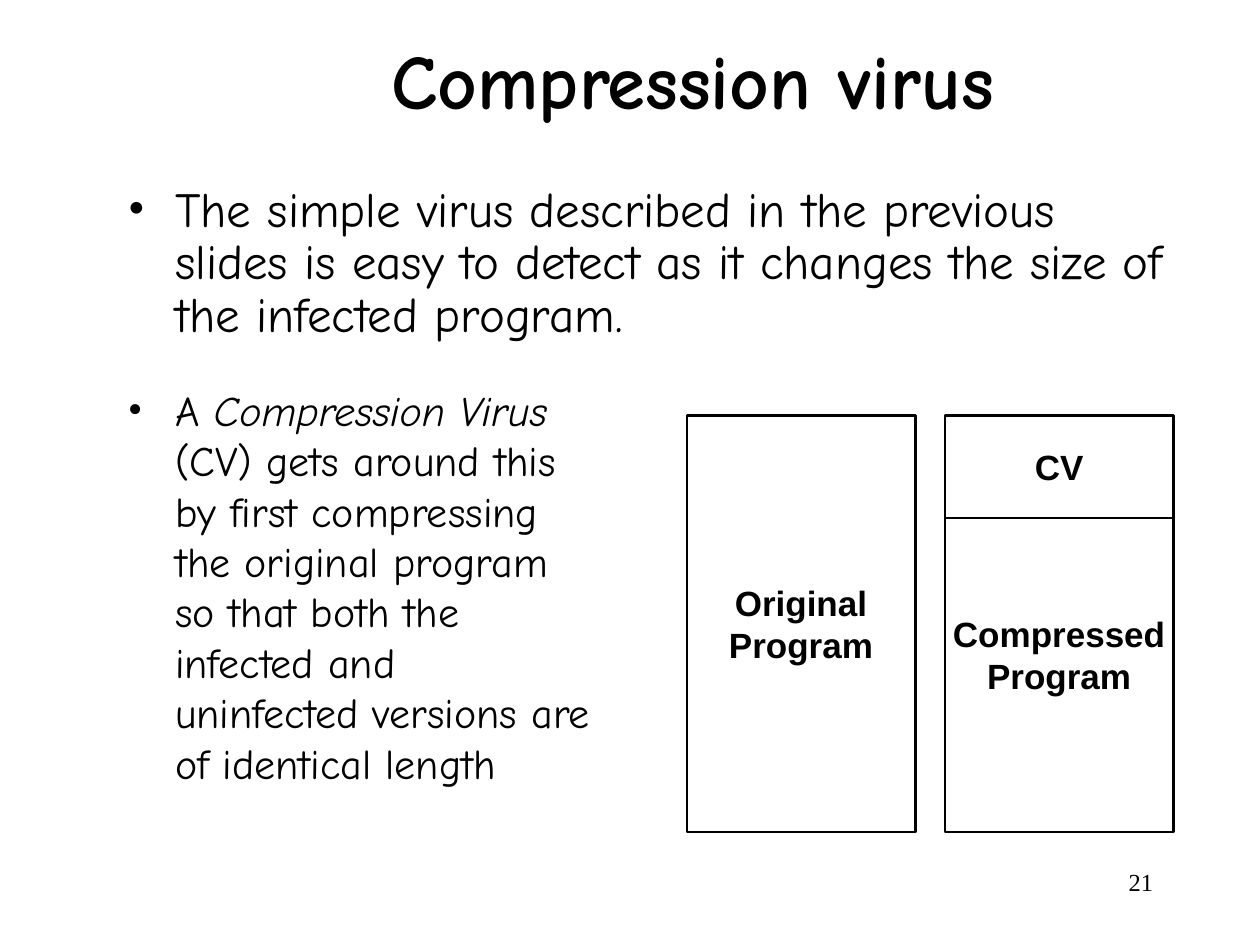
from lxml.etree import SubElement
from pptx import Presentation
from pptx.dml.color import RGBColor
from pptx.enum.shapes import MSO_SHAPE as Shape
from pptx.enum.text import MSO_ANCHOR as Anchor, PP_ALIGN as Align
from pptx.oxml.ns import qn
from pptx.util import Pt

BLACK = RGBColor(0, 0, 0)
HEADING_FONT, LABEL_FONT, NUMBER_FONT = "Comic Neue", "Arial", "Times New Roman"
INDENT = 27


def write_text(shape, *runs, size, font, bold=False, align=Align.LEFT,
               anchor=Anchor.TOP, side=7.2, bottom=3.6, spacing=None, bullet=False):
    """Fill a shape with one paragraph; each run is a string or (string, italic)."""
    frame = shape.text_frame
    frame.word_wrap = True
    frame.vertical_anchor = anchor
    frame.margin_left = frame.margin_right = Pt(side)
    frame.margin_top, frame.margin_bottom = Pt(3.6), Pt(bottom)
    paragraph = frame.paragraphs[0]
    paragraph.alignment = align
    if spacing:
        paragraph.line_spacing = spacing
    if bullet:
        add_bullet(paragraph)
    for item in runs:
        text, italic = item if isinstance(item, tuple) else (item, False)
        run = paragraph.add_run()
        run.text = text
        run.font.name, run.font.size = font, Pt(size)
        run.font.bold, run.font.italic = bold, italic
        run.font.color.rgb = BLACK


def add_bullet(paragraph):
    properties = paragraph._p.get_or_add_pPr()
    properties.set("marL", str(Pt(INDENT)))
    properties.set("indent", str(-Pt(INDENT)))
    color = SubElement(properties, qn("a:buClr"))
    SubElement(color, qn("a:srgbClr"), val=str(BLACK))
    SubElement(properties, qn("a:buFont"), typeface=NUMBER_FONT)
    SubElement(properties, qn("a:buChar"), char="•")


def add_text(slide, left, top, width, height, *runs, **text_format):
    box = slide.shapes.add_textbox(Pt(left), Pt(top), Pt(width), Pt(height))
    write_text(box, *runs, **text_format)


def add_block(slide, left, top, height, label, **text_format):
    block = slide.shapes.add_shape(Shape.RECTANGLE, Pt(left), Pt(top), Pt(130.5), Pt(height))
    block.shadow.inherit = False
    block.fill.background()
    block.line.color.rgb = BLACK
    block.line.width = Pt(1.5)
    write_text(block, label, size=20, font=LABEL_FONT, bold=True, align=Align.CENTER,
               anchor=Anchor.MIDDLE, side=3.6, **text_format)


def main():
    presentation = Presentation()
    presentation.slide_width, presentation.slide_height = Pt(720), Pt(540)
    slide = presentation.slides.add_slide(presentation.slide_layouts[6])

    # Title
    add_text(slide, 90, 0, 612, 90, "Compression virus", size=44, font=HEADING_FONT,
             bold=True, align=Align.CENTER, anchor=Anchor.MIDDLE)

    # Bulleted text
    add_text(slide, 66, 102, 612, 104,
             "The simple virus described in the previous slides is easy to detect "
             "as it changes the size of the infected program.",
             size=28, font=HEADING_FONT, spacing=0.9, bullet=True)
    add_text(slide, 66, 216, 280, 270,
             "A ", ("Compression Virus ", True),
             "(CV) gets around this by first compressing the original program so that "
             "both the infected and uninfected versions are of identical length",
             size=24, font=HEADING_FONT, bullet=True)

    # Program before and after infection: both stacks have the same height
    top, full_height, virus_height = 237.5, 238, 58.5
    add_block(slide, 392.5, top, full_height, "Original Program")
    add_block(slide, 540, top + virus_height, full_height - virus_height,
              "Compressed Program", bottom=27)
    add_block(slide, 540, top, virus_height, "CV")

    # Slide number
    add_text(slide, 516, 492, 150, 36, "21", size=14, font=NUMBER_FONT, align=Align.RIGHT)

    presentation.save("out.pptx")


if __name__ == "__main__":
    main()
